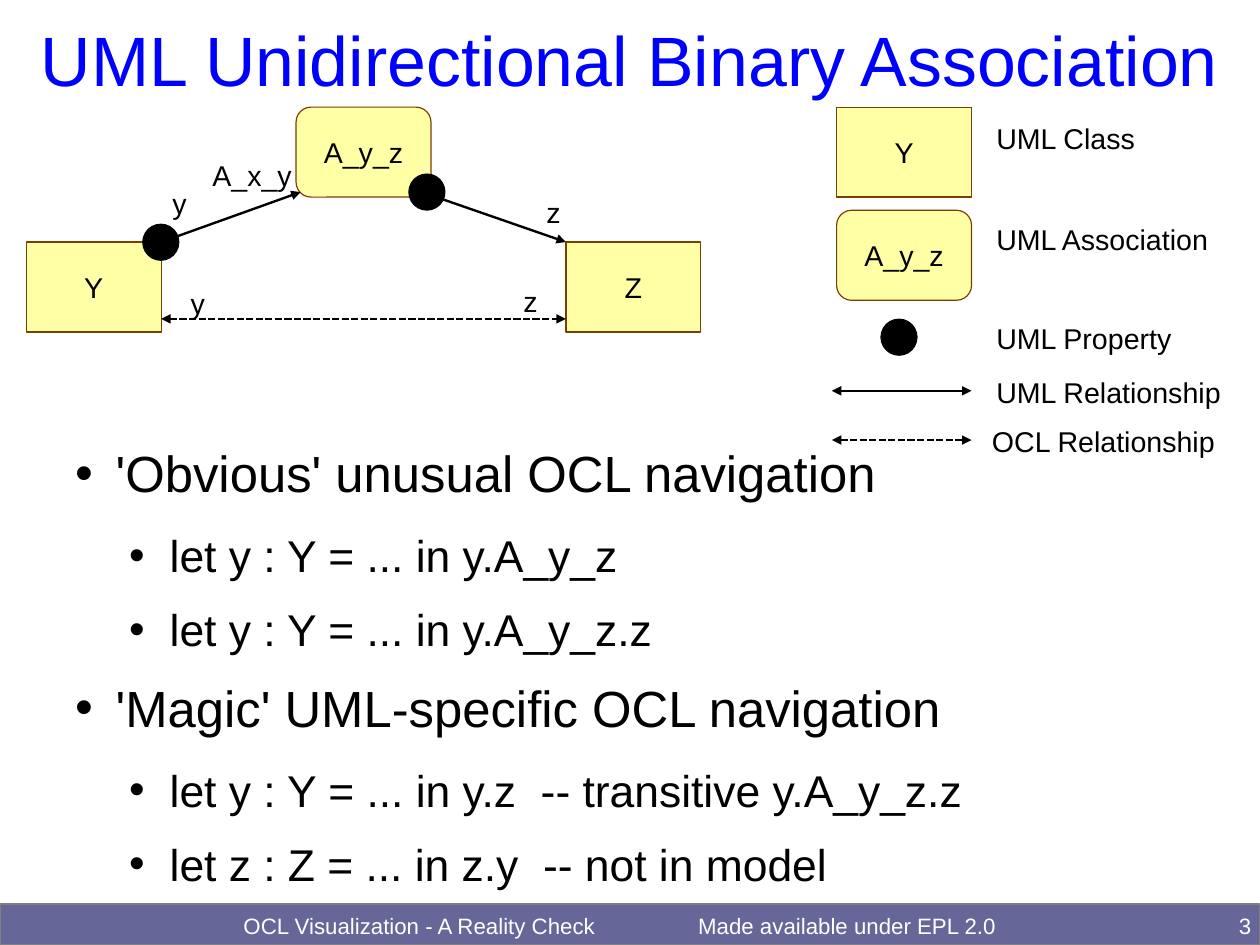
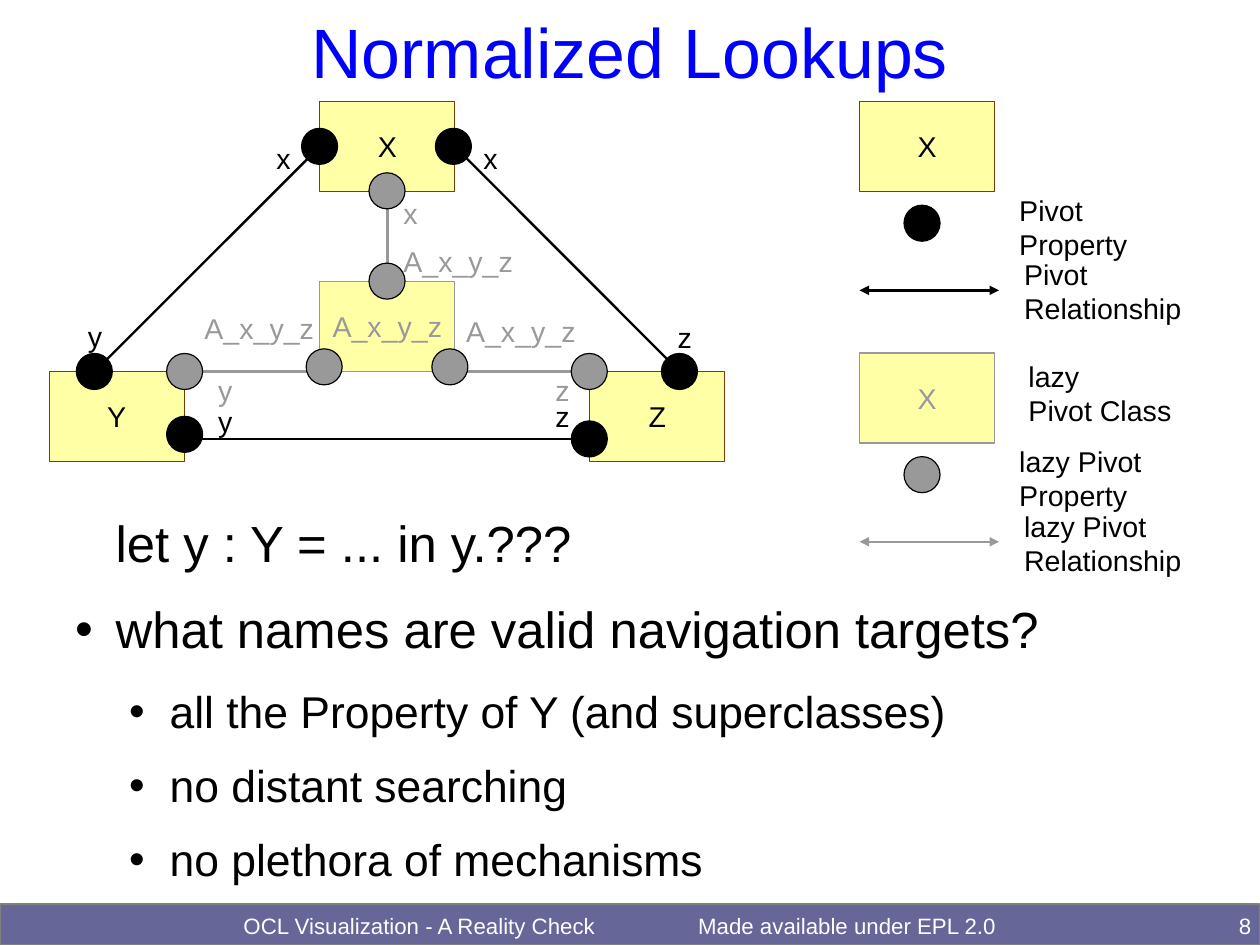
import lxml.etree
import pptx
import pptx.dml.color
import pptx.enum.dml
import pptx.enum.shapes
import pptx.enum.text
import pptx.oxml.ns
import pptx.util

Pt = pptx.util.Pt
qn = pptx.oxml.ns.qn
SHAPE = pptx.enum.shapes.MSO_SHAPE
ALIGN = pptx.enum.text.PP_ALIGN
MIDDLE = pptx.enum.text.MSO_ANCHOR.MIDDLE

FONT = "Arial"
BLACK, GREY, WHITE, BLUE = "000000", "999999", "FFFFFF", "0000FF"
YELLOW, BROWN, BAND, BAND_EDGE = "FFFFA6", "7B3D00", "666699", "808080"
SLIDE_W, SLIDE_H = 793.7, 595.3
BOX_W, BOX_H = 85, 56.7
DOT = 22.7
LABEL_H = 27.4
LEGEND_STEP = 158.4


def rgb(hex_colour):
    return pptx.dml.color.RGBColor.from_string(hex_colour)


def add_text(tf, text, size, colour, align=ALIGN.LEFT, inset=(7.2, 3.6), wrap=True):
    """Fill a text frame, one paragraph for each line of text."""
    tf.word_wrap = wrap
    tf.auto_size = pptx.enum.text.MSO_AUTO_SIZE.NONE
    tf.margin_left = tf.margin_right = Pt(inset[0])
    tf.margin_top = tf.margin_bottom = Pt(inset[1])
    for i, line in enumerate(text.split("\n")):
        p = tf.add_paragraph() if i else tf.paragraphs[0]
        p.alignment = align
        r = p.add_run()
        r.text = line
        r.font.name = FONT
        r.font.size = Pt(size)
        r.font.color.rgb = rgb(colour)


# boxes: text, left, top, preset, colour of text
# lines: x1, y1, x2, y2, colour, dashed
# labels: text, left, top, width, colour
# dots: centre x, centre y, colour
# body: level, bulleted, text
association = {
    "number": "3",
    "title": ("UML Unidirectional Binary Association", 5, -12.2, 784, 98.6),
    "body_top": 276.5,
    "body": [
        (0, True, "'Obvious' unusual OCL navigation"),
        (1, True, "let y : Y = ... in y.A_y_z"),
        (1, True, "let y : Y = ... in y.A_y_z.z"),
        (0, True, "'Magic' UML-specific OCL navigation"),
        (1, True, "let y : Y = ... in y.z  -- transitive y.A_y_z.z"),
        (1, True, "let z : Z = ... in z.y  -- not in model"),
    ],
    "boxes": [
        ("A_y_z", 186.5, 67.5, SHAPE.ROUNDED_RECTANGLE, BLACK),
        ("Y", 16.5, 152.5, SHAPE.RECTANGLE, BLACK),
        ("Z", 356.5, 152.5, SHAPE.RECTANGLE, BLACK),
        ("Y", 527, 67.5, SHAPE.RECTANGLE, BLACK),
        ("A_y_z", 527, 132.5, SHAPE.ROUNDED_RECTANGLE, BLACK),
    ],
    "lines": [
        (189.4, 121, 101.5, 152.5, BLACK, False),
        (265.7, 121, 356.5, 152.5, BLACK, False),
        (101.5, 200.9, 356.5, 200.9, BLACK, True),
        (524, 246.2, 612, 246.2, BLACK, False),
        (524, 277.2, 612, 277.2, BLACK, True),
    ],
    "labels": [
        ("A_x_y", 126.7, 95.8, 85, BLACK),
        ("y", 101.5, 113.8, 85, BLACK),
        ("z", 337, 119.5, 85, BLACK),
        ("y", 113, 176.4, 85, BLACK),
        ("z", 322.6, 175, 85, BLACK),
        ("UML Class", 620.5, 72.7, 161, BLACK),
        ("UML Association", 620.5, 136, 161, BLACK),
        ("UML Property", 620.5, 198.7, 161, BLACK),
        ("UML Relationship", 620.5, 232.6, 161, BLACK),
        ("OCL Relationship", 617.8, 263.5, 161, BLACK),
    ],
    "dots": [(268.9, 121, BLACK), (101.3, 152.6, BLACK), (566.3, 212.4, BLACK)],
}

lookups = {
    "number": "8",
    "title": ("Normalized Lookups", 0, -1.4, SLIDE_W, 66.2),
    "body_top": 320.4,
    "body": [
        (0, False, "let y : Y = ... in y.???"),
        (0, True, "what names are valid navigation targets?"),
        (1, True, "all the Property of Y (and superclasses)"),
        (1, True, "no distant searching"),
        (1, True, "no plethora of mechanisms"),
    ],
    "boxes": [
        ("A_x_y_z", 201.5, 177.2, SHAPE.RECTANGLE, GREY),
        ("X", 201.5, 64, SHAPE.RECTANGLE, BLACK),
        ("Y", 31, 234, SHAPE.RECTANGLE, BLACK),
        ("Z", 371.5, 234, SHAPE.RECTANGLE, BLACK),
    ],
    "lines": [
        (244, 120.5, 244, 177, GREY, False),
        (201.5, 234, 113, 234, GREY, False),
        (286.5, 234, 371.5, 234, GREY, False),
        (201.5, 92.3, 59.7, 234, BLACK, False),
        (286.5, 92.3, 428, 234, BLACK, False),
        (116, 276.5, 371.5, 276.5, BLACK, False),
    ],
    "labels": [
        ("x", 247, 120.2, 85, GREY),
        ("A_x_y_z", 247, 149.8, 85, GREY),
        ("A_x_y_z", 286.5, 194.4, 85, GREY),
        ("A_x_y_z", 121.7, 192.2, 85, GREY),
        ("y", 130.3, 231.1, 85, GREY),
        ("z", 342.7, 231.1, 85, GREY),
        ("y", 130.3, 250.6, 85, BLACK),
        ("z", 342.7, 247.7, 85, BLACK),
        ("x", 167, 85, 85, BLACK),
        ("x", 297.4, 85, 85, BLACK),
        ("y", 48.2, 197.3, 85, BLACK),
        ("z", 419.8, 198, 85, BLACK),
        ("lazy\nPivot Class", 640.8, 222.5, 153, BLACK),
    ],
    "dots": [
        (201.3, 92.2, BLACK), (285.6, 92.2, BLACK), (59.4, 234, BLACK),
        (116.3, 273.6, BLACK), (371.2, 276.5, BLACK), (428, 234, BLACK),
        (243.8, 120.2, GREY), (243.8, 177.1, GREY), (204.2, 231.1, GREY),
        (283.4, 231.1, GREY), (116.3, 234, GREY), (371.2, 234, GREY),
    ],
}

for i, (prefix, colour) in enumerate([("", BLACK), ("lazy ", GREY)]):
    y = i * LEGEND_STEP
    lookups["boxes"].append(("X", 541.5, 64 + y, SHAPE.RECTANGLE, colour))
    lookups["dots"].append((580.8, 140.6 + y, colour))
    lookups["lines"].append((541.5, 182.9 + y, 629.3, 182.9 + y, colour, False))
    lookups["labels"] += [
        (prefix + "Pivot Property", 635, 117.8 + y, 116, BLACK),
        (prefix + "Pivot\nRelationship", 638, 158.4 + y, 116, BLACK),
    ]

contents = [association, lookups]
prs = pptx.Presentation()
prs.slide_width, prs.slide_height = Pt(SLIDE_W), Pt(SLIDE_H)
layout = prs.slide_layouts[5]
slides = [prs.slides.add_slide(layout) for _ in contents]

# Shared footer: drawn once, then moved to the layout
shapes = slides[0].shapes
band = shapes.add_shape(SHAPE.RECTANGLE, 0, Pt(569.5), Pt(SLIDE_W), Pt(25.8))
band.shadow.inherit = False
band.fill.solid()
band.fill.fore_color.rgb = rgb(BAND)
band.line.color.rgb = rgb(BAND_EDGE)
band.line.width = Pt(0)
licence = shapes.add_textbox(Pt(432.7), Pt(571), Pt(202.3), Pt(23))
add_text(licence.text_frame, "Made available under EPL 2.0", 14, WHITE)
talk = shapes.add_textbox(Pt(145.4), Pt(574.6), Pt(237.6), Pt(20.2))
add_text(talk.text_frame, "OCL Visualization - A Reality Check", 14, WHITE, ALIGN.CENTER, (0, 0))
for i, sp in enumerate([band, licence, talk]):
    sp.element.nvSpPr.cNvPr.set("id", str(101 + i))
    layout.shapes.element.append(sp.element)

for s, content in zip(slides, contents):
    text, x, y, w, h = content["title"]
    title = s.shapes.title
    title.left, title.top, title.width, title.height = Pt(x), Pt(y), Pt(w), Pt(h)
    add_text(title.text_frame, text, 44, BLUE, ALIGN.CENTER, (0, 0))
    title.text_frame.vertical_anchor = MIDDLE

    top = content["body_top"]
    body = s.shapes.add_textbox(Pt(38.9), Pt(top), Pt(714), Pt(560 - top))
    tf = body.text_frame
    tf.word_wrap = True
    tf.margin_left = tf.margin_right = tf.margin_top = tf.margin_bottom = 0
    for i, (level, bulleted, text) in enumerate(content["body"]):
        p = tf.add_paragraph() if i else tf.paragraphs[0]
        pPr = p._p.get_or_add_pPr()
        pPr.set("marL", str(Pt(34 * (level + 1))))
        pPr.set("indent", str(Pt(-25.5 if bulleted else 0)))
        if bulleted:
            lxml.etree.SubElement(pPr, qn("a:buFont")).set("typeface", FONT)
            lxml.etree.SubElement(pPr, qn("a:buChar")).set("char", "•")
        p.level = level
        p.line_spacing = 1.05
        p.space_after = Pt(11.3 if level else 14.2)
        r = p.add_run()
        r.text = text
        r.font.name = FONT
        r.font.size = Pt(28 if level else 32)
        r.font.color.rgb = rgb(BLACK)

    for text, x, y, preset, colour in content["boxes"]:
        sp = s.shapes.add_shape(preset, Pt(x), Pt(y), Pt(BOX_W), Pt(BOX_H))
        sp.shadow.inherit = False
        sp.fill.solid()
        sp.fill.fore_color.rgb = rgb(YELLOW)
        sp.line.color.rgb = rgb(GREY if colour == GREY else BROWN)
        sp.line.width = Pt(0)
        add_text(sp.text_frame, text, 18, colour, ALIGN.CENTER, wrap=False)
        sp.text_frame.vertical_anchor = MIDDLE

    for x1, y1, x2, y2, colour, dashed in content["lines"]:
        line = s.shapes.add_connector(
            pptx.enum.shapes.MSO_CONNECTOR.STRAIGHT, Pt(x1), Pt(y1), Pt(x2), Pt(y2))
        line.line.color.rgb = rgb(colour)
        line.line.width = Pt(1.5)
        if dashed:
            line.line.dash_style = pptx.enum.dml.MSO_LINE.SQUARE_DOT
        spPr = line.element.spPr
        for end in ("a:headEnd", "a:tailEnd"):
            lxml.etree.SubElement(spPr.find(qn("a:ln")), qn(end)).set("type", "triangle")
        lxml.etree.SubElement(spPr, qn("a:effectLst"))

    for text, x, y, w, colour in content["labels"]:
        h = LABEL_H + 20 * text.count("\n")
        label = s.shapes.add_textbox(Pt(x), Pt(y), Pt(w), Pt(h))
        add_text(label.text_frame, text, 18, colour)

    for x, y, colour in content["dots"]:
        dot = s.shapes.add_shape(
            SHAPE.OVAL, Pt(x - DOT / 2), Pt(y - DOT / 2), Pt(DOT), Pt(DOT))
        dot.shadow.inherit = False
        dot.fill.solid()
        dot.fill.fore_color.rgb = rgb(colour)
        dot.line.color.rgb = rgb(BLACK)
        dot.line.width = Pt(0)

    number = s.shapes.add_textbox(Pt(755.3), Pt(574.6), Pt(33), Pt(20.2))
    add_text(number.text_frame, content["number"], 14, WHITE, ALIGN.RIGHT, (0, 0))

prs.save("out.pptx")
